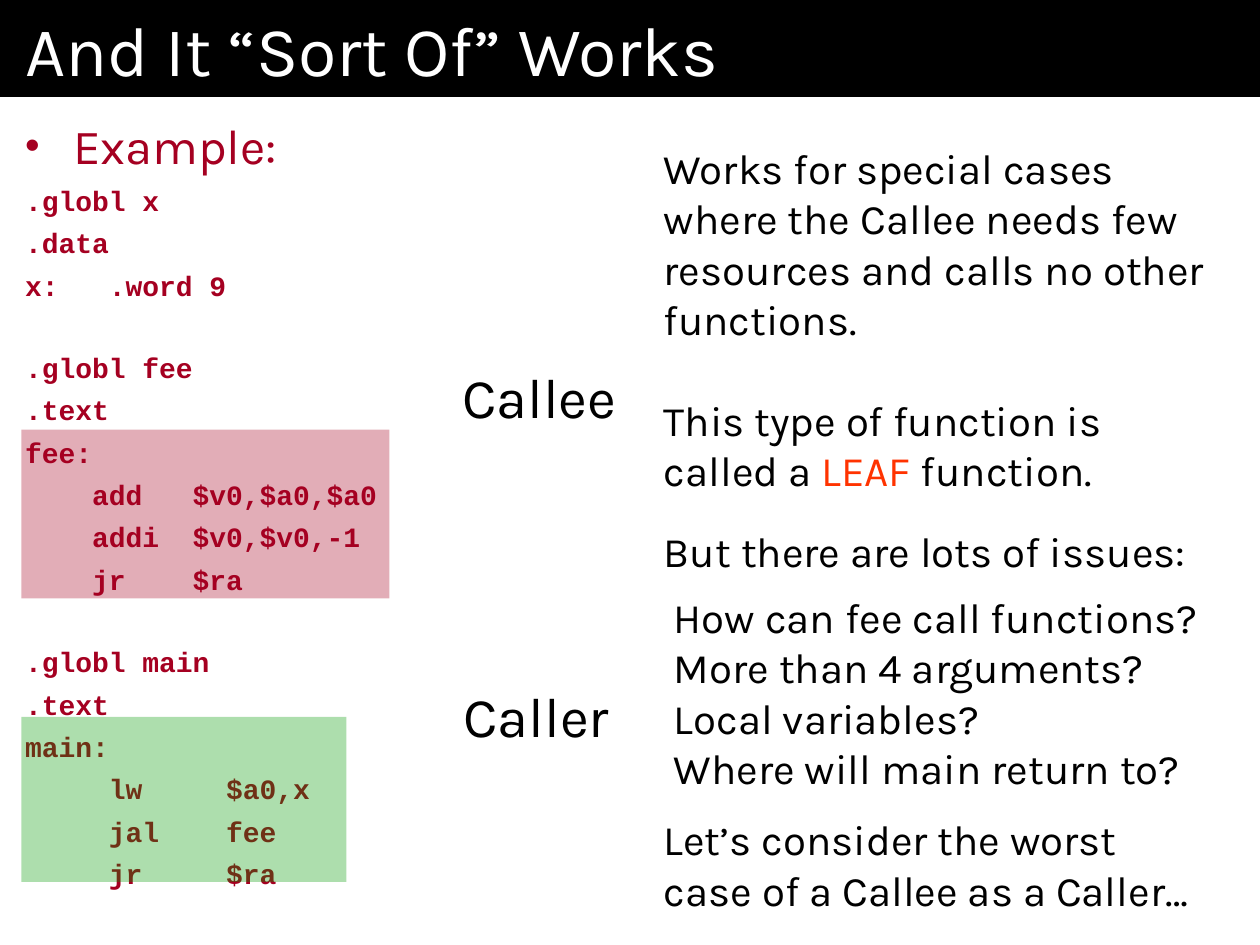
from lxml import etree
from pptx import Presentation
from pptx.dml.color import RGBColor
from pptx.enum import shapes, text
from pptx.oxml.ns import qn
from pptx.util import Inches, Pt

# Content
TITLE = "And It “Sort Of” Works"
HEADING = "Example:"
CODE_BLOCKS = [
    [".globl x", ".data", "x:   .word 9"],
    [".globl fee", ".text", "fee:", "    add   $v0,$a0,$a0",
     "    addi  $v0,$v0,-1", "    jr    $ra"],
    [".globl main", ".text", "main:", "     lw     $a0,x",
     "     jal    fee", "     jr     $ra"],
]
# Runs, space before in points, left indent in inches
NOTES = [
    (["Works for special cases where the Callee needs few resources "
      "and calls no other functions."], 0, 0),
    (["This type of function is called a ", ("LEAF", "accent"), " function."], 29, 0),
    (["But there are lots of issues:"], 17, 0),
    (["How can fee call functions?"], 9, 0.08),
    (["More than 4 arguments?"], 0, 0.08),
    (["Local variables?"], 0, 0.08),
    (["Where will main return to?"], 0, 0.08),
    (["Let’s consider the worst case of a Callee as a Caller…"], 12, 0),
]
# Label, its position, highlight box, highlight colour
ROLES = [
    ("Callee", (3.57, 2.83, 1.46, 0.64), (0.17, 3.41, 2.92, 1.34), "code"),
    ("Caller", (3.58, 5.36, 1.39, 0.64), (0.17, 5.69, 2.58, 1.31), "green"),
]

THEME = {
    "font": "Karla", "mono": "Courier New",
    "title": 40, "label": 32, "heading": 28, "note": 24, "source": 16,
    "black": "000000", "white": "FFFFFF", "code": "A50021",
    "accent": "FF3300", "green": "009900",
}
CODE_GAP = 5       # points before a code line
BLOCK_GAP = 28     # points before a code block
HANG = 0.38        # bullet hanging indent, inches


def color(name):
    return RGBColor.from_string(THEME[name])


def add_paragraph(tf, runs, size, ink="black", font="font", bold=False,
                  before=0, indent=0, bullet=False):
    p = tf.paragraphs[0]
    if p.runs:
        p = tf.add_paragraph()
    pPr = p._p.get_or_add_pPr()
    p.alignment = text.PP_ALIGN.LEFT
    p.space_before = Pt(before)
    if indent:
        pPr.set("marL", str(Inches(indent)))
    if bullet:
        pPr.set("indent", str(-Inches(indent)))
        etree.SubElement(pPr, qn("a:buSzPct"), val="85000")
        etree.SubElement(pPr, qn("a:buFont"), typeface="Arial")
        etree.SubElement(pPr, qn("a:buChar"), char="•")
    for run in runs:
        words, run_ink = run if isinstance(run, tuple) else (run, ink)
        r = p.add_run()
        r.text = words
        r.font.name, r.font.size, r.font.bold = THEME[font], Pt(THEME[size]), bold
        r.font.color.rgb = color(run_ink)


def set_frame(sp, inset_x, inset_y, wrap=True):
    tf = sp.text_frame
    tf.word_wrap = wrap
    tf.auto_size = text.MSO_AUTO_SIZE.NONE
    tf.vertical_anchor = text.MSO_ANCHOR.TOP
    tf.margin_left = tf.margin_right = Inches(inset_x)
    tf.margin_top = tf.margin_bottom = Inches(inset_y)
    return tf


def add_text_box(slide, box, inset_x=0.1, inset_y=0.05, wrap=True):
    return set_frame(slide.shapes.add_textbox(*map(Inches, box)), inset_x, inset_y, wrap)


def add_highlight(slide, box, ink):
    sp = slide.shapes.add_shape(shapes.MSO_SHAPE.RECTANGLE, *map(Inches, box))
    sp.shadow.inherit = False
    sp.line.fill.background()
    sp.fill.solid()
    sp.fill.fore_color.rgb = color(ink)
    fill = sp._element.spPr.find(qn("a:solidFill"))
    etree.SubElement(fill[0], qn("a:alpha"), val="32000")


def main():
    prs = Presentation()
    prs.slide_width, prs.slide_height = Inches(10), Inches(7.5)
    slide = prs.slides.add_slide(prs.slide_layouts[5])

    # Title bar
    sp = slide.shapes.title
    sp.left, sp.top, sp.width, sp.height = map(Inches, (0, 0, 10, 0.77))
    sp.fill.solid()
    sp.fill.fore_color.rgb = color("black")
    add_paragraph(set_frame(sp, 0.2, 0.05), [TITLE], "title", "white")

    # Code listing
    tf = add_text_box(slide, (0, 0.77, 10, 6.73), 0.2, 0.15)
    add_paragraph(tf, [HEADING], "heading", "code", indent=HANG, bullet=True)
    for b, block in enumerate(CODE_BLOCKS):
        for i, line in enumerate(block):
            gap = BLOCK_GAP if b and i == 0 else CODE_GAP
            add_paragraph(tf, [line], "source", "code", "mono", True, gap)

    # Highlights and role labels
    for label, label_box, highlight_box, ink in ROLES:
        add_highlight(slide, highlight_box, ink)
        tf = add_text_box(slide, label_box, wrap=False)
        add_paragraph(tf, [label], "label")

    # Notes
    tf = add_text_box(slide, (5.17, 1.08, 4.5, 6.3))
    for runs, before, indent in NOTES:
        add_paragraph(tf, runs, "note", before=before, indent=indent)

    prs.save("out.pptx")


if __name__ == "__main__":
    main()
